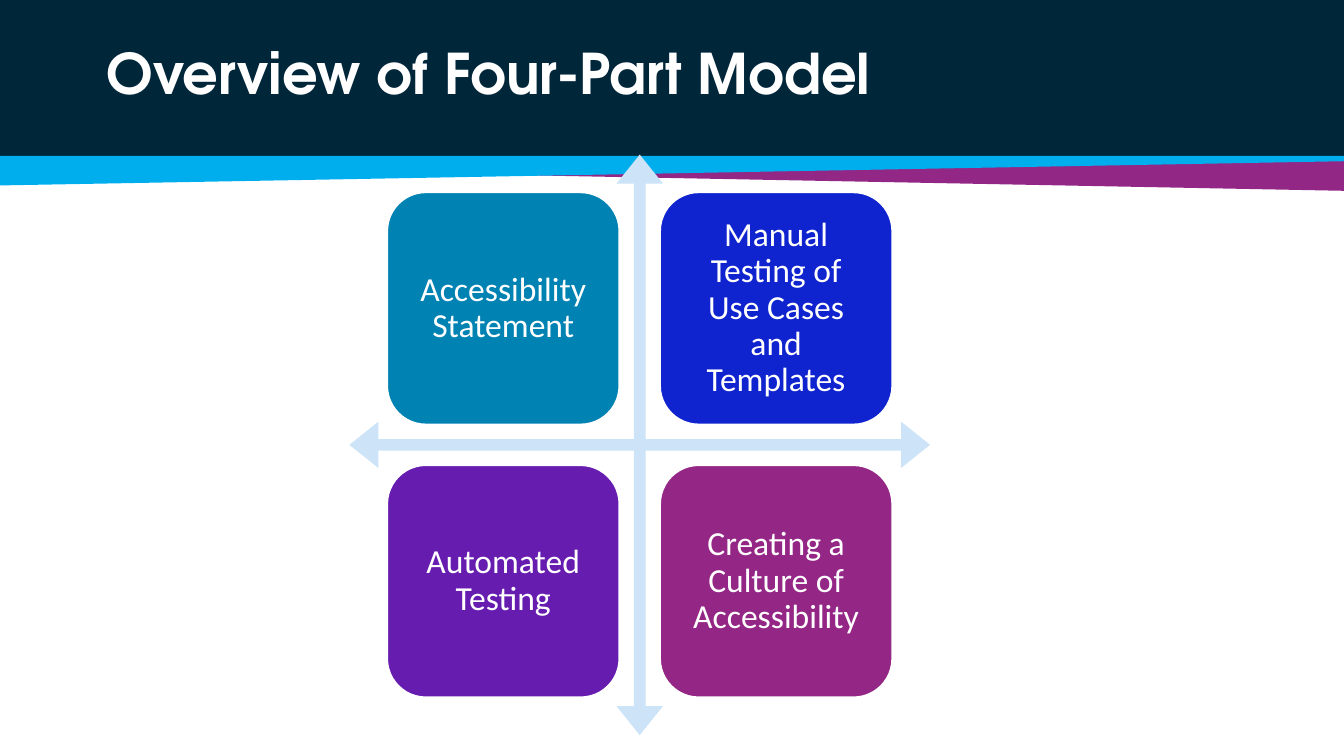
from dataclasses import dataclass

from pptx import Presentation
from pptx.dml.color import RGBColor
from pptx.enum.shapes import MSO_SHAPE
from pptx.enum.text import MSO_ANCHOR, MSO_AUTO_SIZE, PP_ALIGN
from pptx.util import Inches, Pt


@dataclass(frozen=True)
class Theme:
    navy: str = "00263A"
    cyan: str = "00AEEE"
    plum: str = "932786"
    white: str = "FFFFFF"
    arrows: str = "CCE3F8"
    title_font: str = "TeX Gyre Adventor"
    body_font: str = "Calibri"
    title_size: int = 30
    body_size: int = 18


THEME = Theme()
WIDTH = 10
HEIGHT = WIDTH * 9 / 16
PARTS = [
    ("Accessibility Statement", "0082B2"),
    ("Manual Testing of Use Cases and Templates", "0F24CE"),
    ("Automated Testing", "671CB0"),
    ("Creating a Culture of Accessibility", "942686"),
]


def paint(shape, color):
    shape.shadow.inherit = False
    shape.fill.solid()
    shape.fill.fore_color.rgb = RGBColor.from_string(color)
    shape.line.fill.background()


def add_shape(s, kind, left, top, width, height, color):
    shape = s.shapes.add_shape(
        kind, Inches(left), Inches(top), Inches(width), Inches(height))
    paint(shape, color)
    return shape


def add_wedge(s, points, color):
    (x, y), *rest = [(Inches(x), Inches(y)) for x, y in points]
    builder = s.shapes.build_freeform(x, y)
    builder.add_line_segments(rest, close=True)
    paint(builder.convert_to_shape(), color)


def write(shape, text, font, size, bold=False):
    tf = shape.text_frame
    tf.word_wrap = True
    tf.auto_size = MSO_AUTO_SIZE.NONE
    tf.vertical_anchor = MSO_ANCHOR.MIDDLE
    tf.text = text
    p = tf.paragraphs[0]
    p.line_spacing = 0.9
    p.font.name = font
    p.font.size = Pt(size)
    p.font.bold = bold
    p.font.color.rgb = RGBColor.from_string(THEME.white)
    return tf, p


def add_header(s, text, left, top, width, height):
    """Dark title band with two slanted stripes below it."""
    right, bottom = left + width, top + height
    add_shape(s, MSO_SHAPE.RECTANGLE, left, top, width, height, THEME.navy)
    add_wedge(s, [(left, bottom + 0.03), (right, bottom + 0.03),
                  (right, bottom + 0.26), (left, bottom + 0.07)], THEME.plum)
    add_wedge(s, [(left - 0.01, bottom), (right, bottom),
                  (right, bottom + 0.04), (left - 0.01, bottom + 0.22)], THEME.cyan)

    # Title, brought in front of the band
    title = s.shapes.title
    title.left, title.top = Inches(left + 0.69), Inches(top)
    title.width, title.height = Inches(width - 2 * 0.69), Inches(height - 0.01)
    _, p = write(title, text, THEME.title_font, THEME.title_size, bold=True)
    p.alignment = PP_ALIGN.LEFT
    s.shapes._spTree.append(title._element)


def add_matrix(s, parts, left, top, size):
    """Four-way arrow with one rounded tile in each quadrant."""
    cross = add_shape(s, MSO_SHAPE.QUAD_ARROW, left, top, size, size, THEME.arrows)
    for i, value in enumerate((0.02, 0.04, 0.05)):
        cross.adjustments[i] = value

    tile = size * 0.4
    margin = size * 0.065
    step = size - 2 * margin - tile
    for i, (text, color) in enumerate(parts):
        row, col = divmod(i, 2)
        sp = add_shape(s, MSO_SHAPE.ROUNDED_RECTANGLE, left + margin + col * step,
                       top + margin + row * step, tile, tile, color)
        sp.line.color.rgb = RGBColor.from_string(THEME.white)
        sp.line.width = Pt(1)
        tf, p = write(sp, text, THEME.body_font, THEME.body_size)
        p.alignment = PP_ALIGN.CENTER
        tf.margin_left = tf.margin_right = Inches(0.1)
        tf.margin_top = tf.margin_bottom = Inches(0.07)


def main():
    prs = Presentation()
    prs.slide_width, prs.slide_height = Inches(WIDTH), Inches(HEIGHT)
    s = prs.slides.add_slide(prs.slide_layouts[5])
    add_header(s, "Overview of Four-Part Model", 0, -0.01, WIDTH, 1.17)
    add_matrix(s, PARTS, 2.6, 1.15, 4.32)
    prs.save("out.pptx")


if __name__ == "__main__":
    main()
